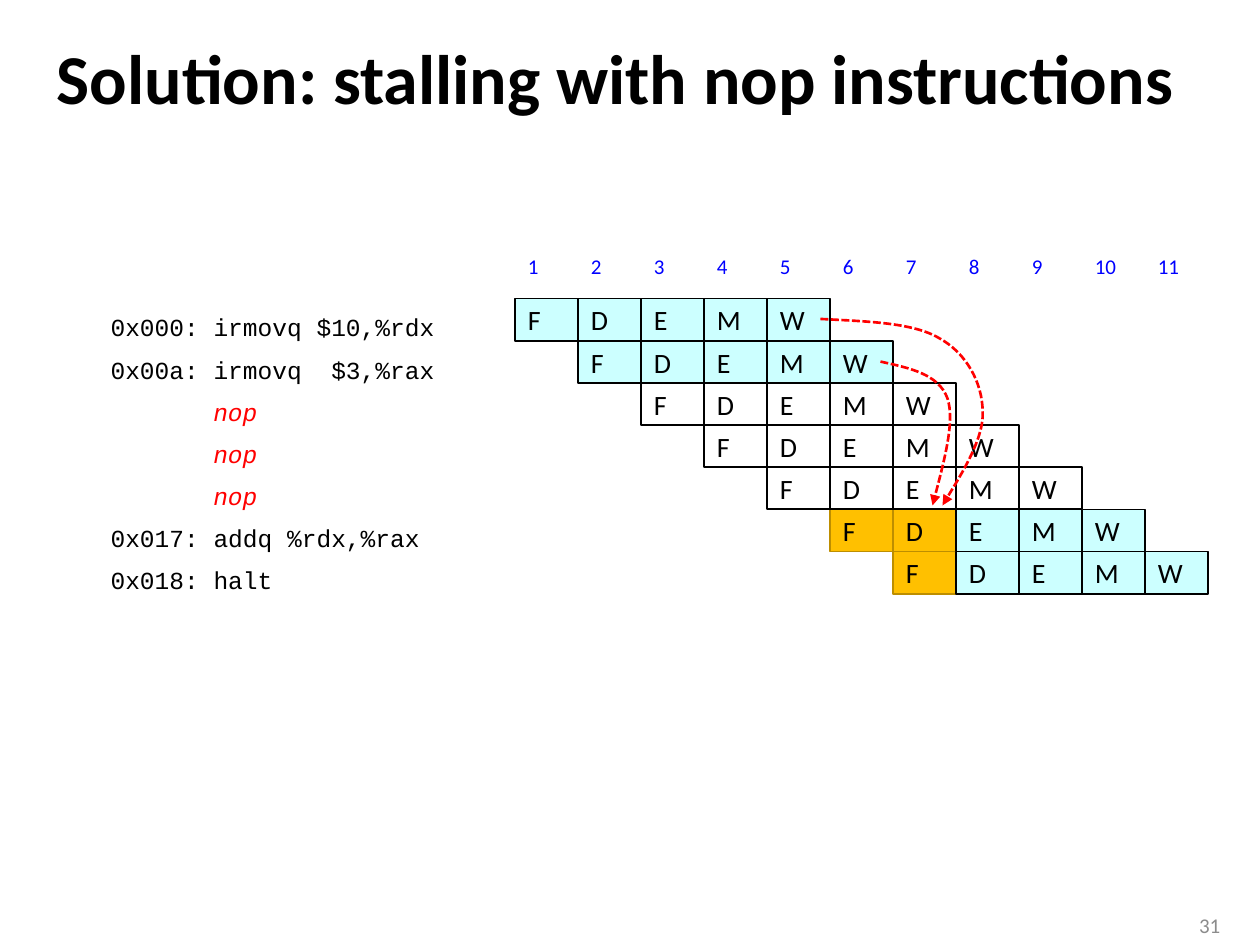
from dataclasses import dataclass

from lxml import etree
from pptx import Presentation
from pptx.dml.color import RGBColor
from pptx.enum import dml, shapes, text
from pptx.oxml.ns import qn
from pptx.util import Cm, Pt

BLACK, WHITE, RED, BLUE, GREY = "000000", "FFFFFF", "FF0000", "0000FF", "8C8C8C"
CYAN, ORANGE, DARK_ORANGE = "CCFFFF", "FFC000", "BD8E00"
SANS, MONO = "Calibri", "Courier New"
STAGES = "FDEMW"
CYCLES = 11
CELL_W, CELL_H = 1.27, 0.85
GRID_LEFT, GRID_TOP, CYCLE_TOP = 10.39, 6.02, 4.95
CODE_LEFT, CODE_TOP, CODE_W = 1.98, 6.17, 7.19
INSET, NOP_INDENT = 0.25, 2.07

Point = tuple[float, float]


@dataclass
class Instruction:
    code: str
    fill: str = CYAN
    delayed_stages: str = ""

    @property
    def is_nop(self) -> bool:
        return self.code == "nop"


@dataclass
class Forwarding:
    """A curved arrow: a start, then two controls and an end per segment."""
    start: Point
    curve: list[Point]


INSTRUCTIONS = [
    Instruction("0x000: irmovq $10,%rdx"),
    Instruction("0x00a: irmovq  $3,%rax"),
    *[Instruction("nop", WHITE) for _ in range(3)],
    Instruction("0x017: addq %rdx,%rax", delayed_stages="FD"),
    Instruction("0x018: halt", delayed_stages="F"),
]

FORWARDINGS = [
    Forwarding((17.75, 7.29), [(18.34, 7.42), (18.92, 7.54), (19.1, 8.03),
                               (19.25, 8.48), (19.02, 9.35), (18.8, 10.19)]),
    Forwarding((16.54, 6.43), [(17.45, 6.48), (18.39, 6.5), (18.92, 6.81),
                               (19.48, 7.11), (19.81, 7.72), (19.81, 8.31),
                               (19.84, 8.86), (19.05, 10.1), (19, 10.19)]),
]


def rgb(value: str) -> RGBColor:
    return RGBColor.from_string(value)


def format_text(shape, size: float, color: str, font: str = SANS,
                align=text.PP_ALIGN.LEFT, wrap: bool = False):
    frame = shape.text_frame
    frame.word_wrap = wrap
    frame.vertical_anchor = text.MSO_ANCHOR.MIDDLE
    paragraph = frame.paragraphs[0]
    paragraph.alignment = align
    paragraph.font.name = font
    paragraph.font.size = Pt(size)
    paragraph.font.color.rgb = rgb(color)
    return paragraph


def add_box(slide, left: float, top: float, width: float, label: str, size: float,
            color: str = BLACK, font: str = SANS, fill: str = WHITE, border: str = ""):
    box = slide.shapes.add_shape(shapes.MSO_SHAPE.RECTANGLE,
                                 Cm(left), Cm(top), Cm(width), Cm(CELL_H))
    box.shadow.inherit = False
    box.fill.solid()
    box.fill.fore_color.rgb = rgb(fill)
    if border:
        box.line.color.rgb = rgb(border)
        box.line.width = Pt(1)
    else:
        box.line.fill.background()
    box.text_frame.text = label
    format_text(box, size, color, font)
    return box


def add_code(slide, row: int, instruction: Instruction) -> None:
    line = add_box(slide, CODE_LEFT, CODE_TOP + row * CELL_H, CODE_W, instruction.code,
                   14, RED if instruction.is_nop else BLACK, MONO)
    if instruction.is_nop:
        line.text_frame.margin_left = Cm(INSET + NOP_INDENT)
        line.text_frame.paragraphs[0].font.italic = True


def add_stages(slide, row: int, instruction: Instruction) -> None:
    """Each instruction enters the pipeline one cycle after the one above."""
    for offset, stage in enumerate(STAGES):
        delayed = stage in instruction.delayed_stages
        add_box(slide, GRID_LEFT + (row + offset) * CELL_W, GRID_TOP + row * CELL_H,
                CELL_W, stage, 16,
                fill=ORANGE if delayed else instruction.fill,
                border=DARK_ORANGE if delayed else BLACK)


def add_forwarding(slide, forwarding: Forwarding) -> None:
    x, y = forwarding.start
    builder = slide.shapes.build_freeform(Cm(x), Cm(y))
    builder.add_line_segments([(Cm(x), Cm(y)) for x, y in forwarding.curve], close=False)
    arrow = builder.convert_to_shape()
    arrow.shadow.inherit = False
    arrow.fill.background()
    arrow.line.color.rgb = rgb(RED)
    arrow.line.width = Pt(1.5)
    arrow.line.dash_style = dml.MSO_LINE.SQUARE_DOT
    etree.SubElement(arrow.element.spPr.find(qn("a:ln")), qn("a:tailEnd"), type="triangle")

    # Turn every three straight segments into one Bézier segment.
    outline = arrow.element.find(".//" + qn("a:path"))
    segments = outline.findall(qn("a:lnTo"))
    for first in range(0, len(segments), 3):
        bezier = etree.SubElement(outline, qn("a:cubicBezTo"))
        for segment in segments[first:first + 3]:
            bezier.append(segment[0])
            outline.remove(segment)


def add_title(slide) -> None:
    title = slide.shapes.title
    title.left, title.top, title.width, title.height = Cm(0.89), Cm(0.48), Cm(23.6), Cm(2.34)
    title.text_frame.text = "Solution: stalling with nop instructions"
    title.text_frame.auto_size = text.MSO_AUTO_SIZE.NONE
    heading = format_text(title, 40, BLACK, wrap=True)
    heading.font.bold = True
    heading.line_spacing = 0.9


def add_page_number(slide) -> None:
    number = slide.shapes.add_textbox(Cm(23.55), Cm(18.26), Cm(1.3), Cm(0.79))
    number.text_frame.text = "31"
    format_text(number, 12, GREY, align=text.PP_ALIGN.RIGHT, wrap=True)


def main() -> None:
    deck = Presentation()
    deck.slide_width, deck.slide_height = Cm(25.4), Cm(19.05)
    slide = deck.slides.add_slide(deck.slide_layouts[5])
    add_title(slide)
    add_page_number(slide)
    for row, instruction in enumerate(INSTRUCTIONS):
        add_code(slide, row, instruction)
    for cycle in range(CYCLES):
        add_box(slide, GRID_LEFT + cycle * CELL_W, CYCLE_TOP, CELL_W,
                str(cycle + 1), 12, BLUE)
    # Bottom row first, so that black borders lie over the orange ones.
    for row, instruction in reversed(list(enumerate(INSTRUCTIONS))):
        add_stages(slide, row, instruction)
    for forwarding in FORWARDINGS:
        add_forwarding(slide, forwarding)
    deck.save("out.pptx")


if __name__ == "__main__":
    main()
